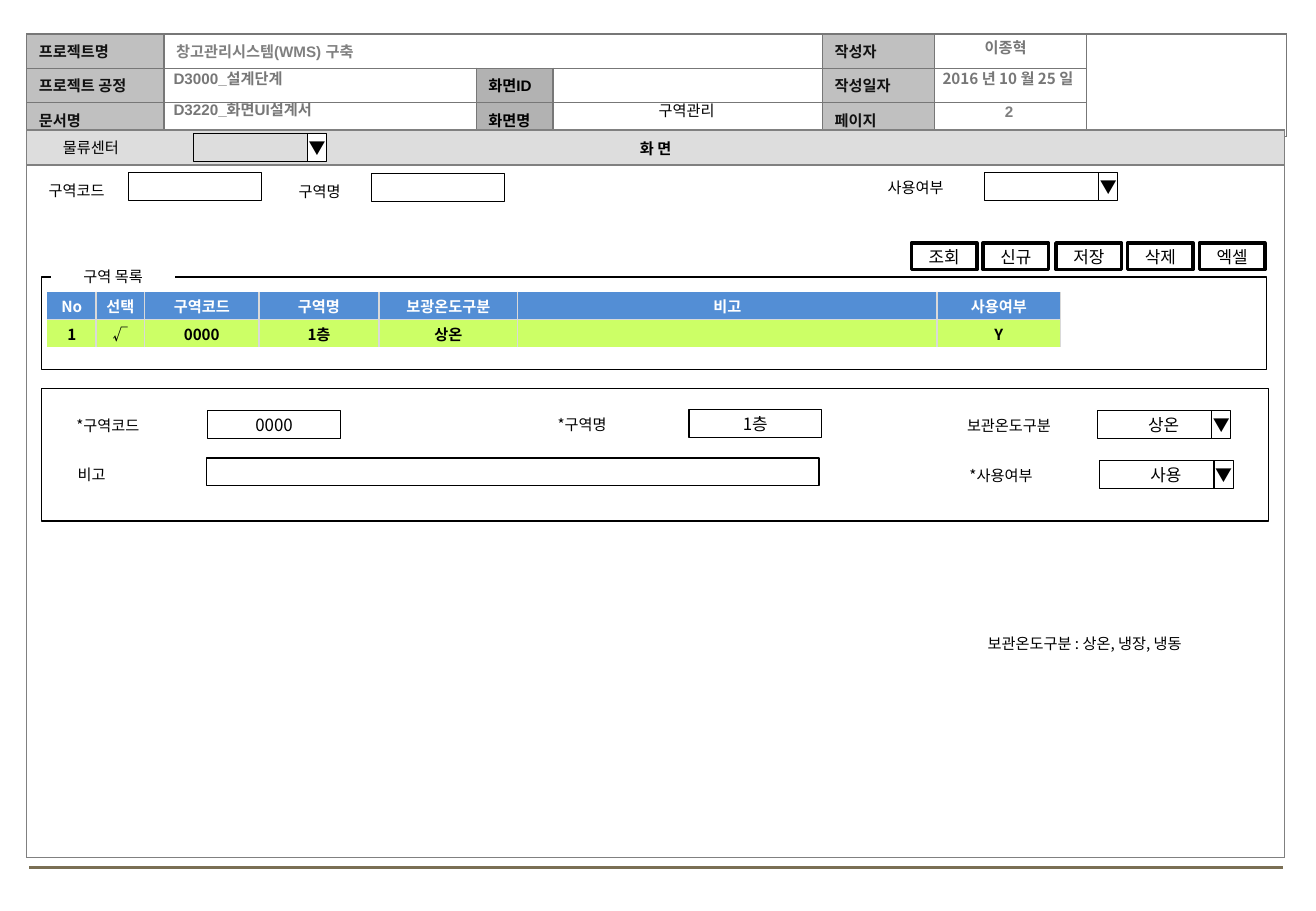
from lxml.etree import SubElement
from pptx import Presentation
from pptx.dml.color import RGBColor
from pptx.enum.shapes import MSO_CONNECTOR, MSO_SHAPE
from pptx.enum.text import MSO_ANCHOR, MSO_AUTO_SIZE, PP_ALIGN
from pptx.oxml.ns import qn
from pptx.util import Pt

SCALE = 9144  # EMU per px, 100 px to the inch
KOREAN, LATIN = "Noto Sans CJK KR", "Arial"
BLACK, WHITE, GRAY = "000000", "FFFFFF", "777777"
LABEL_FILL, ID_FILL = "C0C0C0", "B2B2B2"
LEFT, CENTER = PP_ALIGN.LEFT, PP_ALIGN.CENTER


def px(*lengths):
    return [length * SCALE for length in lengths]


def color(hex_string):
    return RGBColor.from_string(hex_string)


def write(frame, text, size=9, font=KOREAN, ink=BLACK, bold=False, align=LEFT):
    paragraph = frame.paragraphs[0]
    paragraph.alignment = align
    if not text:
        SubElement(paragraph._p, qn("a:endParaRPr"), sz=str(size * 100))
        return
    run = paragraph.add_run()
    run.text = text
    run.font.size, run.font.bold, run.font.name = Pt(size), bold, font
    run.font.color.rgb = color(ink)
    SubElement(run._r.get_or_add_rPr(), qn("a:ea"), typeface=KOREAN)


def paint(fill, hex_string):
    if hex_string:
        fill.solid()
        fill.fore_color.rgb = color(hex_string)
    else:
        fill.background()


class Screen:
    """Style and current slide of the screen design."""

    def __init__(self, deck):
        self.slide = deck.slides.add_slide(deck.slide_layouts[5])
        self.shapes = self.slide.shapes

    def title(self, x, y, w, h, text):
        title = self.shapes.title
        title.left, title.top, title.width, title.height = px(x, y, w, h)
        title.text_frame.auto_size = MSO_AUTO_SIZE.NONE
        title.text_frame.word_wrap = True
        title.text_frame.vertical_anchor = MSO_ANCHOR.TOP
        write(title.text_frame, text, align=CENTER)

    def label(self, x, y, w, text, fill=None, **style):
        label = self.shapes.add_textbox(*px(x, y, w, 25))
        label.text_frame.word_wrap = True
        paint(label.fill, fill)
        write(label.text_frame, text, **style)

    def box(self, x, y, w, h, text="", fill=None, weight=0.75):
        box = self.shapes.add_shape(MSO_SHAPE.RECTANGLE, *px(x, y, w, h))
        box.shadow.inherit = False
        paint(box.fill, fill)
        box.line.color.rgb, box.line.width = color(BLACK), Pt(weight)
        if text:
            frame = box.text_frame
            frame.word_wrap = False
            frame.vertical_anchor = MSO_ANCHOR.MIDDLE
            frame.margin_left, frame.margin_right = px(2, 2)
            frame.margin_top, frame.margin_bottom = px(4, 4)
            write(frame, text, size=10, align=CENTER)

    def combo(self, x, y, text="", fill=None):
        self.box(x, y, 109, 23, text, fill)
        self.box(x + 94, y, 16, 23, "▼", WHITE)

    def rule(self, x1, y, x2, ink, weight):
        rule = self.shapes.add_connector(MSO_CONNECTOR.STRAIGHT, *px(x1, y, x2, y))
        rule.line.color.rgb, rule.line.width = color(ink), Pt(weight)
        SubElement(rule._element.spPr, qn("a:effectLst"))

    def table(self, x, y, cols, rows, texts, look, edge, margins, merges=(), framed=True):
        """look(row, col) gives the fill of a cell and the style of its text."""
        table = self.shapes.add_table(
            len(rows), len(cols), *px(x, y, sum(cols), sum(rows))).table
        table.first_row = table.horz_banding = False
        for column, width in zip(table.columns, px(*cols)):
            column.width = width
        for row, height in zip(table.rows, px(*rows)):
            row.height = height
        for first, last in merges:
            table.cell(*first).merge(table.cell(*last))
        for r in range(len(rows)):
            for c in range(len(cols)):
                cell = table.cell(r, c)
                fill, style = look(r, c)
                cell.vertical_anchor = MSO_ANCHOR.MIDDLE
                (cell.margin_left, cell.margin_top,
                 cell.margin_right, cell.margin_bottom) = px(*margins)
                sides = {"L": framed or c > 0, "R": True, "T": framed or r > 0,
                         "B": framed or r < len(rows) - 1}
                self.borders(cell, sides, edge)
                paint(cell.fill, fill)
                write(cell.text_frame, texts[r][c], **style)

    def borders(self, cell, sides, edge):
        properties = cell._tc.get_or_add_tcPr()
        for side, shown in sides.items():
            line = SubElement(properties, qn(f"a:ln{side}"), w=str(Pt(1)))
            if shown:
                SubElement(SubElement(line, qn("a:solidFill")), qn("a:srgbClr"), val=edge)
            else:
                SubElement(line, qn("a:noFill"))


def header_look(row, col):
    ink = {1: "808080", 2: BLACK}.get(col, "111111")
    fill = LABEL_FILL if col in (0, 4) else ID_FILL if col == 2 and row else None
    return fill, dict(font=LATIN, ink=ink, bold=True)


def screen_look(row, col):
    return None if row else "DDDDDD", dict(font=LATIN, bold=True, align=CENTER)


def zone_look(row, col):
    fill, ink = [("538ED5", WHITE), ("CCFF66", BLACK)][row]
    return fill, dict(ink=ink, bold=True, align=CENTER)


def main():
    deck = Presentation()
    deck.slide_width, deck.slide_height = px(1083, 750)
    screen = Screen(deck)

    # Document header
    screen.rule(24, 714, 1056, "7A6F54", 1.75)
    screen.table(
        22, 28, [113, 257, 63, 222, 92, 125, 165], [25] * 3,
        [["프로젝트명", "창고관리시스템(WMS) 구축", "", "", "작성자", "", ""],
         ["프로젝트 공정", "", "화면ID", "", "작성일자", "", ""],
         ["문서명", "", "화면명", "", "페이지", "", ""]],
        header_look, GRAY, (10, 5, 10, 5),
        merges=[((0, 1), (0, 3)), ((0, 6), (2, 6))])
    for y, document in [(52, "D3000_설계단계"), (78, "D3220_화면UI설계서")]:
        screen.label(133, y, 300, document, font=LATIN, ink=GRAY, bold=True)
    screen.title(456, 78, 218, 25, "구역관리")

    # Screen area
    screen.table(22, 107, [1035], [29, 570], [["화 면"], [""]],
                 screen_look, "808080", (2, 0, 2, 0))
    screen.label(768, 79, 125, "2", font=LATIN, ink="7F7F7F", bold=True, align=CENTER)
    for x, y, entry in [(749, 27, "이종혁"), (751, 52, "2016 년 10 월 25 일")]:
        screen.label(x, y, 157, entry, ink=GRAY, bold=True, align=CENTER)

    # Search conditions
    screen.label(42, 109, 117, "물류센터")
    screen.combo(159, 110)
    for x, y, w, condition in [(23, 144, 80, "구역코드"), (223, 145, 80, "구역명"),
                               (701, 142, 105, "사용여부")]:
        screen.label(x, y, w, condition, align=CENTER)
    screen.box(106, 142, 109, 23, fill=WHITE)
    screen.box(306, 143, 109, 23, fill=WHITE)
    screen.combo(810, 142, fill=WHITE)

    # Command buttons
    for i, command in enumerate(["조회", "신규", "저장", "삭제", "엑셀"]):
        screen.box(750 + round(59.3 * i), 200, 54, 22, command, WHITE, weight=2)

    # Zone list
    screen.table(
        39, 240, [40, 40, 94, 99, 114, 345, 102], [23, 23],
        [["No", "선택", "구역코드", "구역명", "보광온도구분", "비고", "사용여부"],
         ["1", "√", "0000", "1층", "상온", "", "Y"]],
        zone_look, "D9D9D9", (1, 1, 1, 0), framed=False)
    screen.box(34, 228, 1008, 76)
    screen.label(42, 215, 102, "구역 목록", fill=WHITE, align=CENTER)

    # Zone details
    screen.box(34, 320, 1010, 109)
    for x, y, detail in [(53, 338, "*구역코드"), (449, 337, "*구역명"),
                         (786, 338, "보관온도구분"), (54, 378, "비고"),
                         (788, 379, "*사용여부")]:
        screen.label(x, y, 117, detail)
    screen.box(171, 338, 109, 23, "0000")
    screen.box(567, 337, 109, 23, "1층")
    screen.box(170, 377, 504, 23)
    screen.combo(903, 338, "상온")
    screen.combo(905, 379, "사용")

    # Remark
    screen.label(803, 517, 209, "보관온도구분 : 상온, 냉장, 냉동")

    deck.save("out.pptx")


if __name__ == "__main__":
    main()
